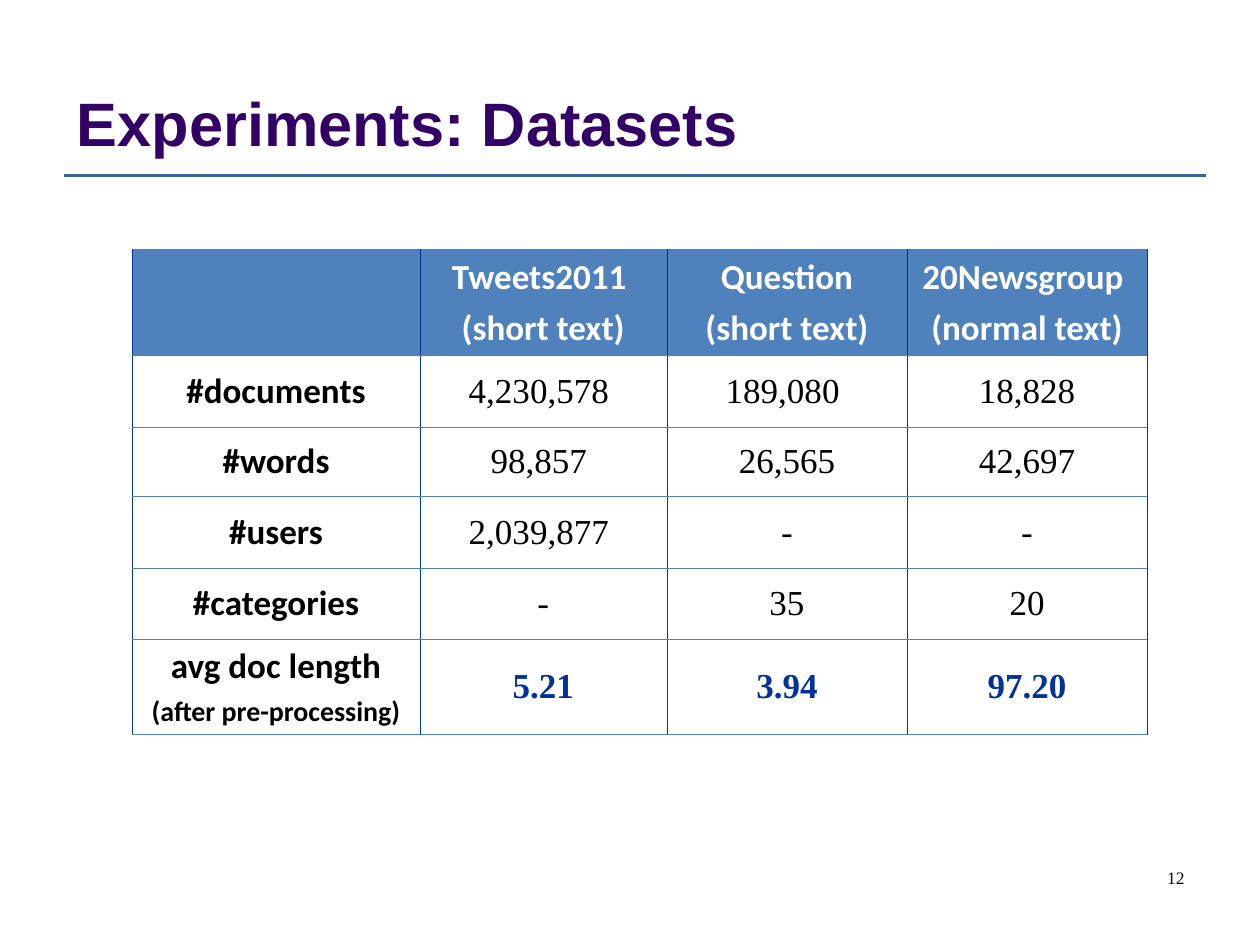
from dataclasses import dataclass

from lxml.etree import SubElement
from pptx import Presentation
from pptx.dml.color import RGBColor as Rgb
from pptx.enum.text import MSO_ANCHOR as Anchor, PP_ALIGN as Align
from pptx.oxml.ns import qn
from pptx.util import Cm, Pt


@dataclass(frozen=True)
class Theme:
    violet: str = "330066"
    rule: str = "336699"
    navy: str = "003399"
    blue: str = "4F81BD"
    white: str = "FFFFFF"
    black: str = "000000"
    title_font: str = "Arial"
    label_font: str = "Calibri"
    number_font: str = "Times New Roman"
    title_size: float = 35
    body_size: float = 20
    note_size: float = 16
    page_size: float = 10


THEME = Theme()

# Text formats
TITLE = dict(name=THEME.title_font, size=Pt(THEME.title_size), bold=True, color=THEME.violet)
HEADER = dict(name=THEME.label_font, size=Pt(THEME.body_size), bold=True, color=THEME.white)
LABEL = HEADER | dict(color=THEME.black)
NOTE = LABEL | dict(size=Pt(THEME.note_size))
NUMBER = LABEL | dict(name=THEME.number_font, bold=False)
KEY_NUMBER = NUMBER | dict(bold=True, color=THEME.navy)
PAGE_NUMBER = NUMBER | dict(size=Pt(THEME.page_size))

# Table content: each cell is a list of lines
HEADINGS = [
    [],
    ["Tweets2011 ", "(short text)"],
    ["Question", "(short text)"],
    ["20Newsgroup ", "(normal text)"],
]
DATA = [
    [["#documents"], ["4,230,578 "], ["189,080 "], ["18,828"]],
    [["#words"], ["98,857 "], ["26,565"], ["42,697"]],
    [["#users"], ["2,039,877 "], ["-"], ["-"]],
    [["#categories"], ["-"], ["35"], ["20"]],
    [["avg doc length", "(after pre-processing)"], ["5.21"], ["3.94"], ["97.20"]],
]
COLUMN_WIDTHS = [5.79, 4.98, 4.85, 4.83]
ROW_HEIGHTS = [2.13, 1.45, 1.4, 1.45, 1.42, 1.93]


def write_lines(frame, lines, align):
    """Fill a text frame with (text, format) lines."""
    for index, (text, look) in enumerate(lines):
        para = frame.paragraphs[0] if index == 0 else frame.add_paragraph()
        para.alignment = align
        if index:
            para.space_before = Pt(look["size"].pt / 4)
        span = para.add_run()
        span.text = text
        for key, value in look.items():
            if key == "color":
                span.font.color.rgb = Rgb.from_string(value)
            else:
                setattr(span.font, key, value)


def add_text(page, box, text, look, align, anchor):
    frame = page.shapes.add_textbox(*map(Cm, box)).text_frame
    frame.word_wrap = True
    frame.vertical_anchor = anchor
    write_lines(frame, [(text, look)], align)


def add_heading(page, box):
    """Title with a rule beneath it."""
    left, top, width, height = box
    add_text(page, box, "Experiments: Datasets", TITLE, Align.LEFT, Anchor.BOTTOM)
    rule_y = Cm(top + height + 0.2)
    rule = page.shapes.add_connector(1, Cm(left), rule_y, Cm(left + width), rule_y)
    rule.line.color.rgb = Rgb.from_string(THEME.rule)
    rule.line.width = Pt(1.75)
    SubElement(rule._element.spPr, qn("a:effectLst"))


def add_borders(cell):
    sides = dict(lnL=(THEME.navy, 0.11), lnR=(THEME.navy, 0.11),
                 lnT=(THEME.blue, 0.45), lnB=(THEME.blue, 0.45))
    properties = cell._tc.get_or_add_tcPr()
    for side, (color, width) in sides.items():
        line = SubElement(properties, qn(f"a:{side}"), w=str(Pt(width)))
        fill = SubElement(line, qn("a:solidFill"))
        SubElement(fill, qn("a:srgbClr"), val=color)


def cell_looks(row, column):
    """Formats for the first and second line of a cell."""
    if row == 0:
        return HEADER, HEADER
    if column == 0:
        return LABEL, NOTE
    return (KEY_NUMBER if row == len(DATA) else NUMBER,)


def add_dataset_table(page, box):
    content = [HEADINGS, *DATA]
    table = page.shapes.add_table(len(content), len(HEADINGS), *map(Cm, box)).table
    table.first_row = table.horz_banding = False
    for column, width in zip(table.columns, COLUMN_WIDTHS):
        column.width = Cm(width)
    for row, height in zip(table.rows, ROW_HEIGHTS):
        row.height = Cm(height)
    for r, cells in enumerate(content):
        for c, lines in enumerate(cells):
            cell = table.cell(r, c)
            cell.vertical_anchor = Anchor.MIDDLE
            add_borders(cell)
            if r == 0:
                cell.fill.solid()
                cell.fill.fore_color.rgb = Rgb.from_string(THEME.blue)
            else:
                cell.fill.background()
            write_lines(cell.text_frame, zip(lines, cell_looks(r, c)), Align.CENTER)


def main():
    deck = Presentation()
    deck.slide_width, deck.slide_height = Cm(25.4), Cm(19.05)
    page = deck.slides.add_slide(deck.slide_layouts[6])
    add_heading(page, (1.3, 0.33, 23.02, 3))
    add_dataset_table(page, (2.67, 5.03, sum(COLUMN_WIDTHS), sum(ROW_HEIGHTS)))
    add_text(page, (18.21, 17.35, 5.92, 1.27), "12", PAGE_NUMBER, Align.RIGHT, Anchor.TOP)
    deck.save("out.pptx")


if __name__ == "__main__":
    main()
